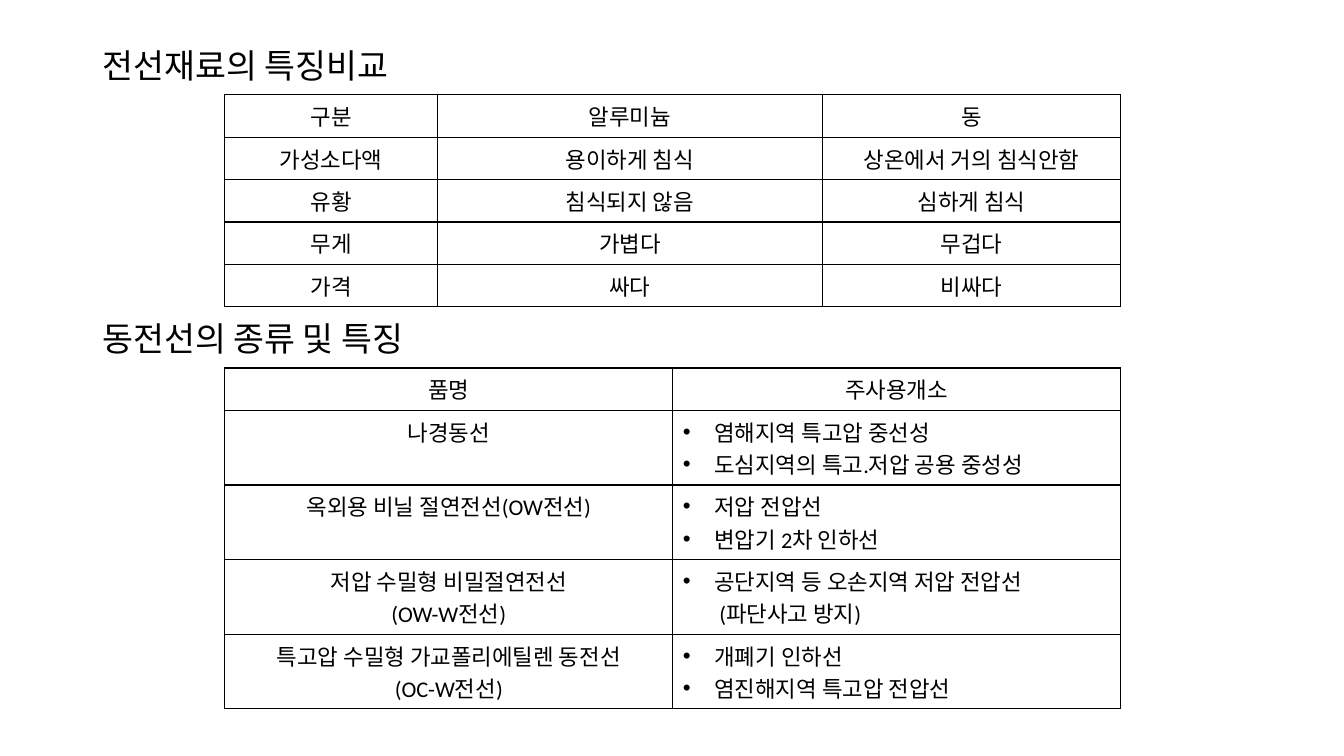
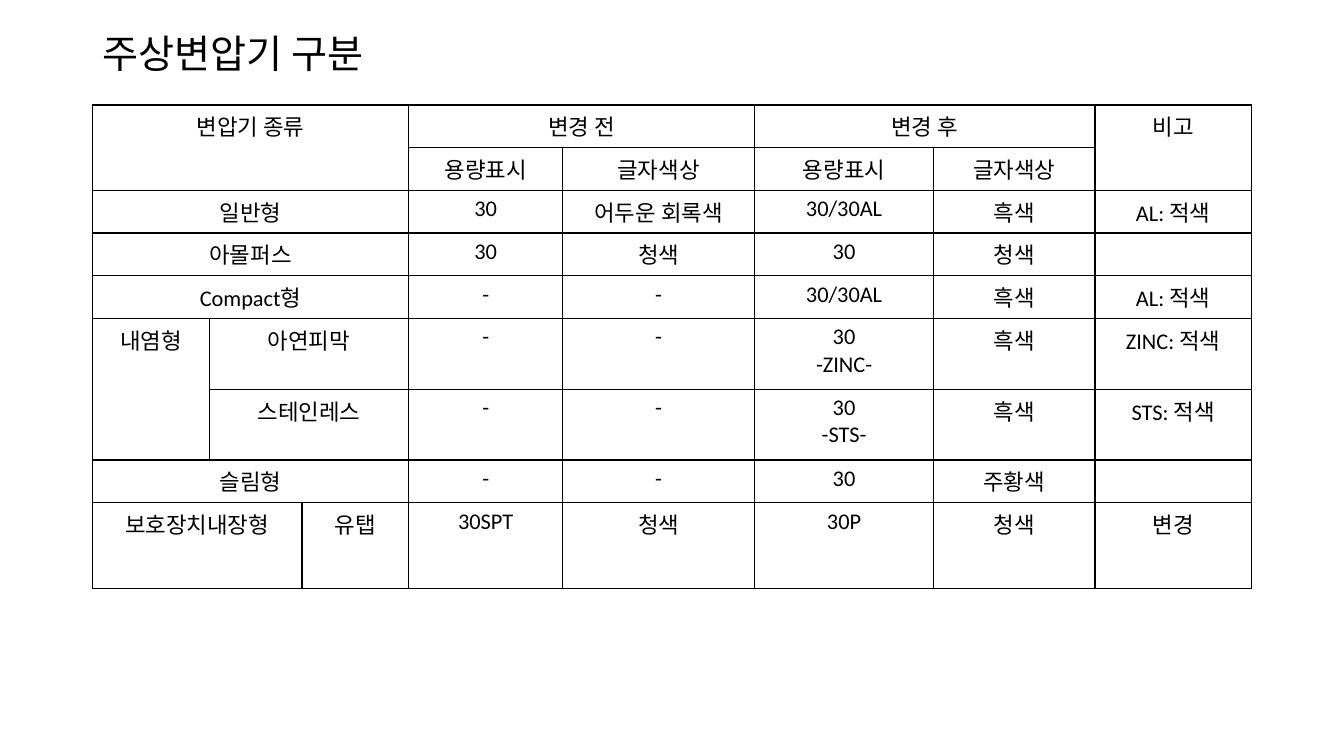
import pptx
import pptx.dml.color
import pptx.enum.text
import pptx.oxml
import pptx.oxml.ns
import pptx.util
from lxml import etree

Pt = pptx.util.Pt
ALIGN = pptx.enum.text.PP_ALIGN
ANCHOR = pptx.enum.text.MSO_ANCHOR
BLACK = pptx.dml.color.RGBColor(0x00, 0x00, 0x00)
FONT = "Calibri"
BODY_SIZE = 16
BULLET = "• "
BULLET_INDENT = 22.5
CONTINUATION_INDENT = 26
LEFT_SPAN, UP_SPAN = "<", "^"
PAGE_LEFT, PAGE_WIDTH = 66, 828
TABLE_LEFT, TABLE_WIDTH = 160.6, 640

MATERIALS = [
    ["구분", "알루미늄", "동"],
    ["가성소다액", "용이하게 침식", "상온에서 거의 침식안함"],
    ["유황", "침식되지 않음", "심하게 침식"],
    ["무게", "가볍다", "무겁다"],
    ["가격", "싸다", "비싸다"],
]

COPPER_WIRES = [
    ["품명", "주사용개소"],
    ["나경동선", "• 염해지역 특고압 중선성\n• 도심지역의 특고.저압 공용 중성성"],
    ["옥외용 비닐 절연전선(OW전선)", "• 저압 전압선\n• 변압기 2차 인하선"],
    ["저압 수밀형 비밀절연전선\n(OW-W전선)", "• 공단지역 등 오손지역 저압 전압선\n(파단사고 방지)"],
    ["특고압 수밀형 가교폴리에틸렌 동전선\n(OC-W전선)", "• 개폐기 인하선\n• 염진해지역 특고압 전압선"],
]

TRANSFORMERS = [
    ["변압기 종류", "<", "<", "변경 전", "<", "변경 후", "<", "비고"],
    ["^", "<", "<", "용량표시", "글자색상", "용량표시", "글자색상", "^"],
    ["일반형", "<", "<", "30", "어두운 회록색", "30/30AL", "흑색", "AL: 적색"],
    ["아몰퍼스", "<", "<", "30", "청색", "30", "청색", ""],
    ["Compact형", "<", "<", "-", "-", "30/30AL", "흑색", "AL: 적색"],
    ["내염형", "아연피막", "<", "-", "-", "30\n-ZINC-", "흑색", "ZINC: 적색"],
    ["^", "스테인레스", "<", "-", "-", "30\n-STS-", "흑색", "STS: 적색"],
    ["슬림형", "<", "<", "-", "-", "30", "주황색", ""],
    ["보호장치내장형", "<", "유탭", "30SPT", "청색", "30P", "청색", "변경"],
]


class Deck:
    """Holds the shared style and the slide being filled; lengths are in points."""

    def __init__(self):
        self.presentation = pptx.Presentation()
        self.presentation.slide_width = Pt(960)
        self.presentation.slide_height = Pt(540)
        self.slide = None

    def add_slide(self, title, top, height, size):
        layout = self.presentation.slide_layouts.get_by_name("Title Only")
        self.slide = self.presentation.slides.add_slide(layout)
        shape = self.slide.shapes.title
        shape.left, shape.top = Pt(PAGE_LEFT), Pt(top)
        shape.width, shape.height = Pt(PAGE_WIDTH), Pt(height)
        self.write_heading(shape, title, size)

    def add_heading(self, text, top, height, size):
        shape = self.slide.shapes.add_textbox(
            Pt(PAGE_LEFT), Pt(top), Pt(PAGE_WIDTH), Pt(height))
        self.write_heading(shape, text, size)

    def write_heading(self, shape, text, size):
        frame = shape.text_frame
        frame.word_wrap = True
        frame.auto_size = pptx.enum.text.MSO_AUTO_SIZE.NONE
        frame.vertical_anchor = ANCHOR.MIDDLE
        frame.text = text
        paragraph = frame.paragraphs[0]
        paragraph.alignment = ALIGN.LEFT
        paragraph.line_spacing = 0.9
        self.set_font(paragraph, size)

    def add_table(self, rows, left, top, widths, heights):
        """Draw rows of text; "<" joins a cell to its left one, "^" to the one above."""
        frame = self.slide.shapes.add_table(
            len(rows), len(widths), Pt(left), Pt(top),
            Pt(sum(widths)), Pt(sum(heights)))
        table = frame.table
        table.first_row = table.horz_banding = False
        for column, width in zip(table.columns, widths):
            column.width = Pt(width)
        for row, height in zip(table.rows, heights):
            row.height = Pt(height)
        for row_index, row in enumerate(rows):
            for column_index, text in enumerate(row):
                cell = table.cell(row_index, column_index)
                cell.fill.background()
                self.set_borders(cell)
                if text not in (LEFT_SPAN, UP_SPAN):
                    self.write_cell(cell, text)
                    self.merge_span(table, rows, row_index, column_index)

    def merge_span(self, table, rows, top, left):
        bottom, right = top, left
        while right + 1 < len(rows[top]) and rows[top][right + 1] == LEFT_SPAN:
            right += 1
        while bottom + 1 < len(rows) and rows[bottom + 1][left] == UP_SPAN:
            bottom += 1
        if (bottom, right) != (top, left):
            table.cell(top, left).merge(table.cell(bottom, right))

    def write_cell(self, cell, text):
        cell.text = text
        is_list = text.startswith(BULLET)
        for paragraph in cell.text_frame.paragraphs:
            if not is_list:
                paragraph.alignment = ALIGN.CENTER
            elif paragraph.text.startswith(BULLET):
                paragraph.runs[0].text = paragraph.text.removeprefix(BULLET)
                self.set_bullet(paragraph)
            else:
                paragraph._p.get_or_add_pPr().set("marL", str(Pt(CONTINUATION_INDENT)))
            self.set_font(paragraph, BODY_SIZE)

    def set_bullet(self, paragraph):
        properties = paragraph._p.get_or_add_pPr()
        properties.set("marL", str(Pt(BULLET_INDENT)))
        properties.set("indent", str(-Pt(BULLET_INDENT)))
        font = etree.SubElement(properties, pptx.oxml.ns.qn("a:buFont"))
        font.set("typeface", "Arial")
        bullet = etree.SubElement(properties, pptx.oxml.ns.qn("a:buChar"))
        bullet.set("char", BULLET.strip())

    def set_borders(self, cell):
        properties = cell._tc.get_or_add_tcPr()
        for index, side in enumerate(("lnL", "lnR", "lnT", "lnB")):
            line = pptx.oxml.parse_xml(
                f'<a:{side} {pptx.oxml.ns.nsdecls("a")} w="{Pt(1)}"><a:solidFill>'
                f'<a:srgbClr val="{BLACK}"/></a:solidFill></a:{side}>')
            properties.insert(index, line)

    def set_font(self, paragraph, size):
        paragraph.font.name = FONT
        paragraph.font.size = Pt(size)
        paragraph.font.color.rgb = BLACK


def main():
    deck = Deck()

    deck.add_slide("전선재료의 특징비교", top=29.5, height=38, size=24)
    deck.add_table(MATERIALS, TABLE_LEFT, 67.7, [152, 274.8, 213.2], [26.8] * 5)
    deck.add_heading("동전선의 종류 및 특징", top=224, height=39, size=24)
    deck.add_table(COPPER_WIRES, TABLE_LEFT, 262.8,
                   [TABLE_WIDTH / 2] * 2, [29.4] + [45.6] * 4)

    deck.add_slide("주상변압기 구분", top=11.5, height=57, size=28)
    deck.add_table(TRANSFORMERS, PAGE_LEFT, 75,
                   [83.5, 66.2, 76.3, 110, 137, 128, 115.2, 111.8],
                   [30.5] * 5 + [50.6] * 2 + [30.5, 61.2])

    deck.presentation.save("out.pptx")


if __name__ == "__main__":
    main()
